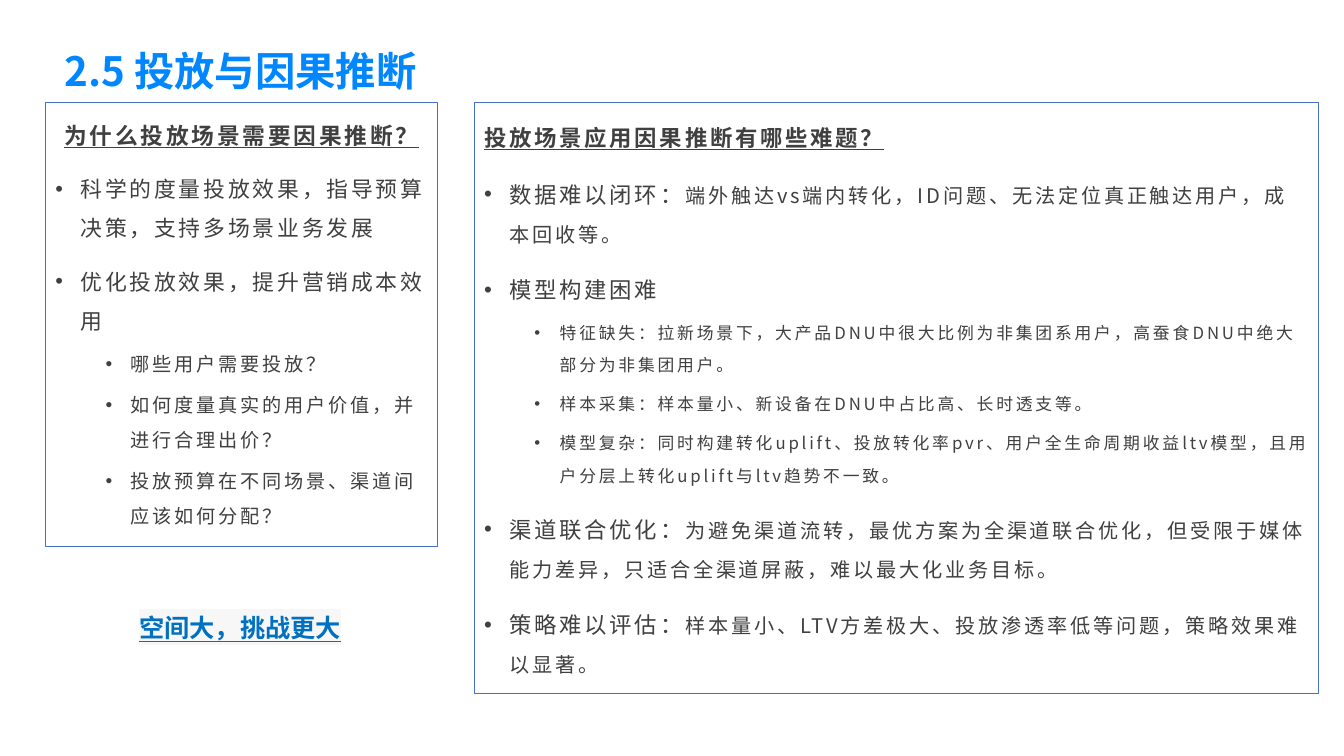
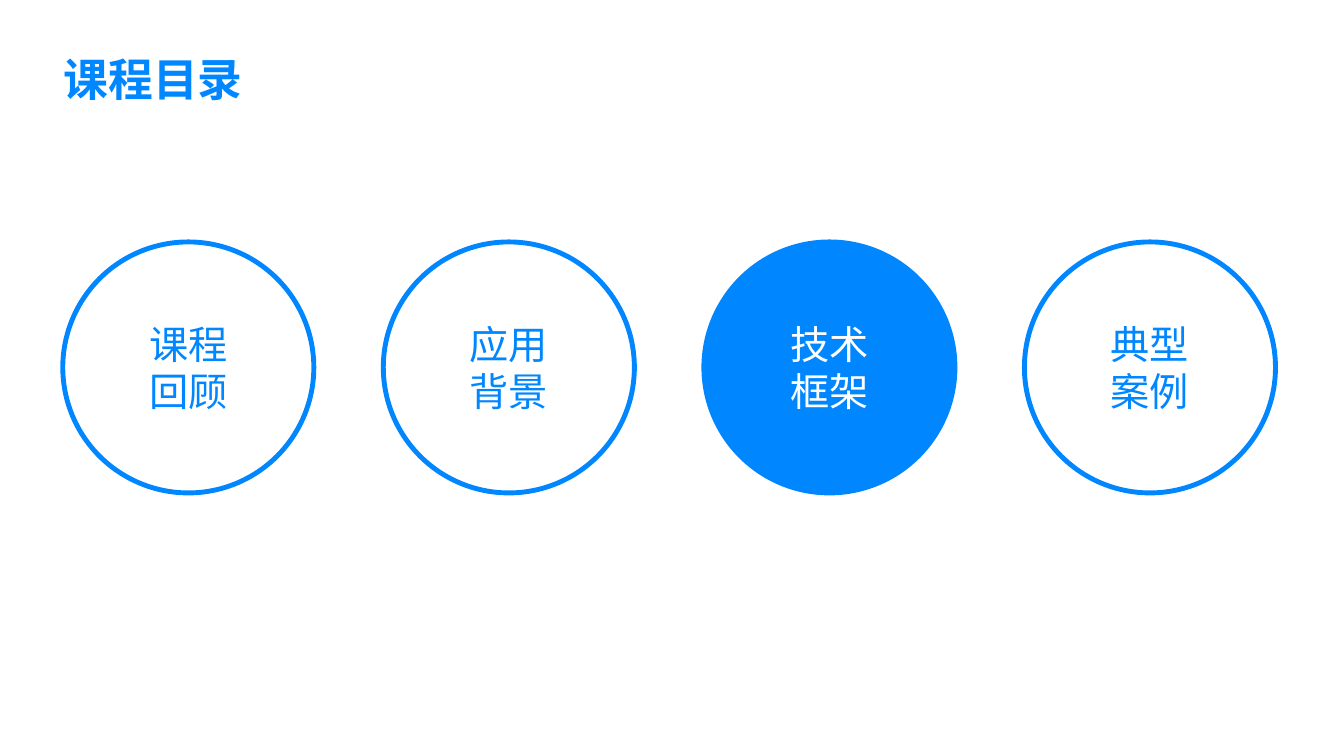
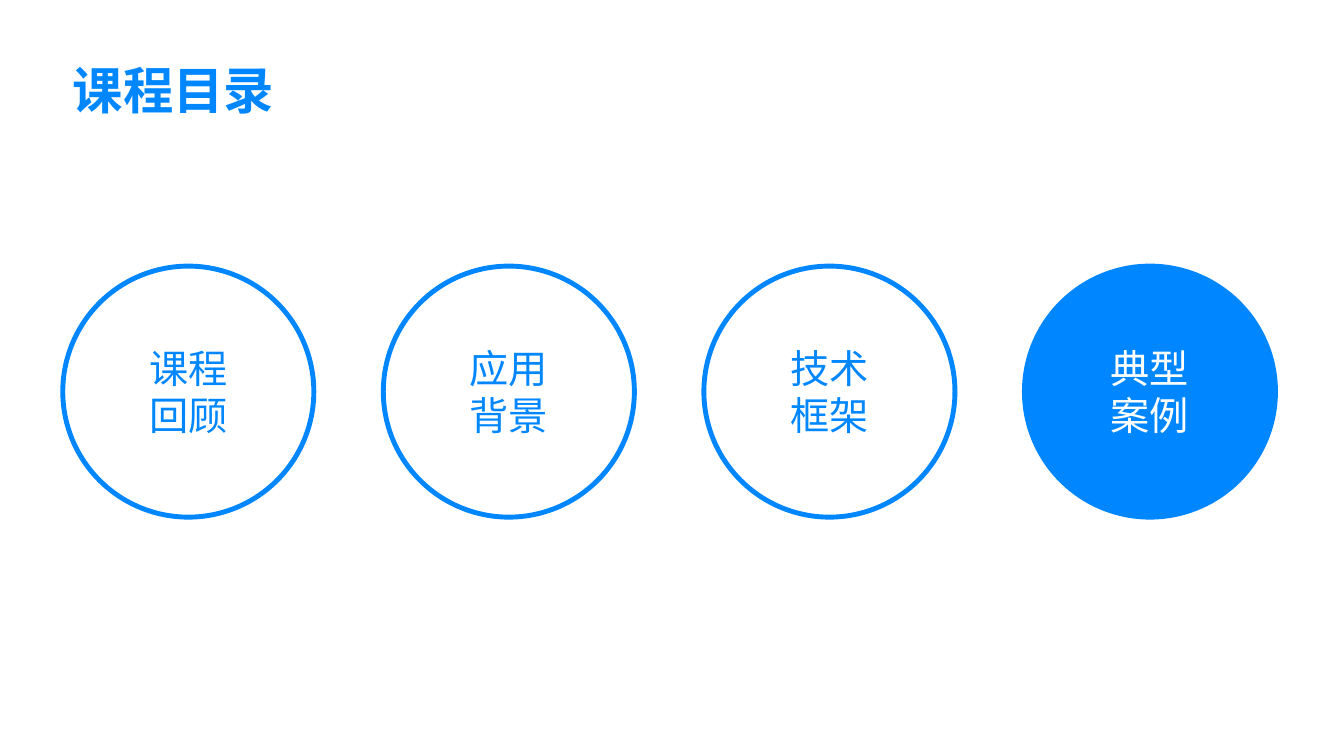
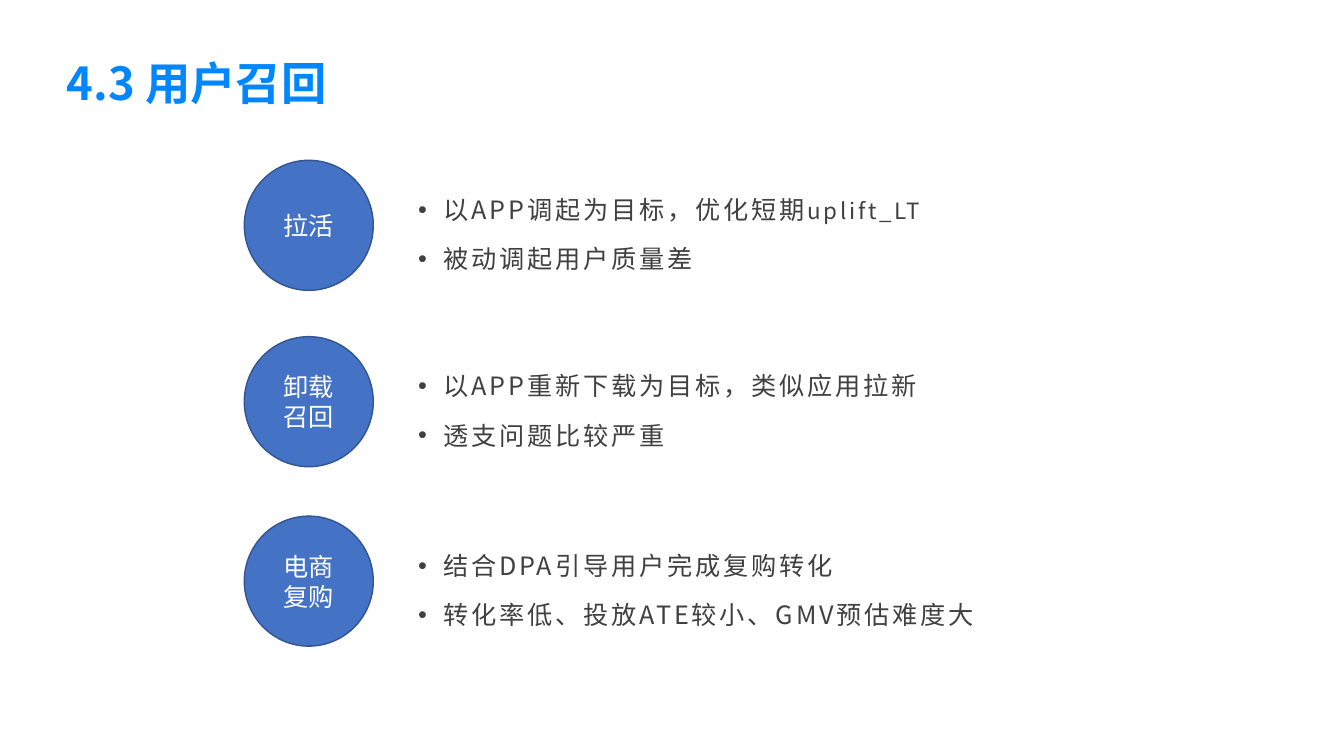
"""Build four slides on ad delivery and causal inference."""
from dataclasses import dataclass

from lxml.etree import SubElement as Sub
from pptx import Presentation
from pptx.dml.color import RGBColor as RGB
from pptx.enum.shapes import MSO_SHAPE as Kind
from pptx.enum.text import MSO_ANCHOR as Anchor, PP_ALIGN as Align
from pptx.oxml.ns import qn
from pptx.util import Inches, Pt


@dataclass(frozen=True)
class Theme:
    face: str = "Noto Sans CJK SC"
    blue: str = "0087FF"
    navy: str = "4472C4"
    edge: str = "325491"
    link: str = "0070C0"
    pale: str = "F7F7F7"
    ink: str = "404040"
    white: str = "FFFFFF"
    ring: float = 28
    body: float = 18
    head: float = 16
    text: float = 14.4
    small: float = 12
    space: float = 2


T = Theme()
deck = Presentation()
deck.slide_width, deck.slide_height = Inches(13.33), Inches(7.5)
COL, ROW = deck.slide_width / 100, deck.slide_height / 100


def place(slide, at, kind=None, fill=None, line=None, width=1):
    """Add a text box or a shape at percentages of the slide."""
    x, y, w, h = at
    spot = [int(v) for v in (x * COL, y * ROW, w * COL, h * ROW)]
    if kind is None:
        return slide.shapes.add_textbox(*spot)
    shape = slide.shapes.add_shape(kind, *spot)
    shape.shadow.inherit = False
    if fill:
        shape.fill.solid()
        shape.fill.fore_color.rgb = RGB.from_string(fill)
    else:
        shape.fill.background()
    shape.line.color.rgb = RGB.from_string(line)
    shape.line.width = Pt(width)
    return shape


def write(shape, paras, tint, space=0, mark=None, **frame):
    """Fill a shape with (form, indent, runs) paragraphs; indents get bullets."""
    tf = shape.text_frame
    look = {"word_wrap": True, **frame}
    for key, val in look.items():
        setattr(tf, key, val)
    for i, (form, dent, runs) in enumerate(paras):
        para = tf.add_paragraph() if i else tf.paragraphs[0]
        for key, val in form.items():
            if i or key != "space_before":
                setattr(para, key, val)
        if dent:
            para.level = int(dent > 0.5)
            props = para._p.get_or_add_pPr()
            props.set("marL", str(Inches(dent)))
            props.set("indent", str(Inches(-0.25)))
            Sub(props, qn("a:buFont"), typeface="Arial")
            Sub(props, qn("a:buChar"), char="•")
        for words, size, *bold in runs:
            run = para.add_run()
            run.text = words
            look = {"size": Pt(size), "name": T.face, "bold": "b" in bold, "underline": "u" in bold}
            for key, val in look.items():
                setattr(run.font, key, val)
            run.font.color.rgb = RGB.from_string(tint)
            props = run._r.get_or_add_rPr()
            if space:
                props.set("spc", str(int(space * 100)))
            if mark:
                glow = Sub(props, qn("a:highlight"))
                Sub(glow, qn("a:srgbClr"), val=mark)
                props.find(qn("a:solidFill")).addnext(glow)
            east = Sub(props, qn("a:ea"), typeface=T.face)
            props.find(qn("a:latin")).addnext(east)


MID = {"alignment": Align.CENTER}
titles = [
    ("2.5 投放与因果推断", 28.8, (4.05, 6.13, 47.64, 7.2)),
    ("课程目录", 32, (3.98, 6.4, 16.5, 8.93)),
    ("课程目录", 36, (4.67, 7.6, 18.68, 9.47)),
    ("4.3 用户召回", 32.4, (4.22, 7.47, 37.36, 7.73)),
]
slides = []
for name, size, at in titles:
    slide = deck.slides.add_slide(deck.slide_layouts[6])
    write(place(slide, at), [({"line_spacing": 0.9}, 0, [(name, size, "b")])], T.blue,
          vertical_anchor=Anchor.MIDDLE)
    slides.append(slide)

panels = [
    ((3.38, 13.6, 29.18, 58.67), 1.5, Align.CENTER, [
        (0, [("为什么投放场景需要因果推断？", 16.2, "b", "u")]),
        (0.25, [("科学的度量投放效果，指导预算决策，支持多场景业务发展", 15.6)]),
        (0.25, [("优化投放效果，提升营销成本效用", 15.6)]),
        (0.75, [("哪些用户需要投放？", 13.7)]),
        (0.75, [("如何度量真实的用户价值，并进行合理出价？", 13.7)]),
        (0.75, [("投放预算在不同场景、渠道间应该如何分配？", 13.7)]),
    ]),
    ((35.28, 13.6, 62.86, 78.13), 1.6, Align.LEFT, [
        (0, [("投放场景应用因果推断有哪些难题？", T.head, "b", "u")]),
        (0.25, [("数据难以闭环：", T.head),
                ("端外触达vs端内转化，ID问题、无法定位真正触达用户，成本回收等。", T.text)]),
        (0.25, [("模型构建困难", T.head)]),
        (0.75, [("特征缺失：拉新场景下，大产品DNU中很大比例为非集团系用户，"
                 "高蚕食DNU中绝大部分为非集团用户。", T.small)]),
        (0.75, [("样本采集：样本量小、新设备在DNU中占比高、长时透支等。", T.small)]),
        (0.75, [("模型复杂：同时构建转化uplift、投放转化率pvr、用户全生命周期收益ltv模型，"
                 "且用户分层上转化uplift与ltv趋势不一致。", T.small)]),
        (0.25, [("渠道联合优化：", T.head),
                ("为避免渠道流转，最优方案为全渠道联合优化，但受限于媒体能力差异，"
                 "只适合全渠道屏蔽，难以最大化业务目标。", T.text)]),
        (0.25, [("策略难以评估：", T.head),
                ("样本量小、LTV方差极大、投放渗透率低等问题，策略效果难以显著。", T.text)]),
    ]),
]
for at, pitch, side, rows in panels:
    paras = []
    for dent, runs in rows:
        form = {"alignment": Align.LEFT if dent else side, "line_spacing": pitch,
                "space_before": Pt(5 if dent > 0.5 else 10)}
        paras.append((form, dent, runs))
    write(place(slides[0], at, Kind.RECTANGLE, None, T.navy, 0.75), paras, T.ink, T.space,
          vertical_anchor=Anchor.TOP)
write(place(slides[0], (9.62, 80.4, 16.65, 5.33)), [({}, 0, [("空间大，挑战更大", T.body, "b", "u")])],
      T.link, mark=T.pale, word_wrap=False)

parts = [("课程", "回顾"), ("应用", "背景"), ("技术", "框架"), ("典型", "案例")]
for slide, top, now in ((slides[1], 32, 2), (slides[2], 35.2, 3)):
    for i, pair in enumerate(parts):
        fill, tint = (T.blue, T.white) if i == now else (T.white, T.blue)
        ring = place(slide, (4.67 + 23.85 * i, top, 18.68, 33.2), Kind.OVAL, fill, T.blue, 3.5)
        write(ring, [(MID, 0, [(word, T.ring)]) for word in pair], tint)

goals = [
    (21.2, "拉活", [[("以APP调起为目标，优化短期", T.body), ("uplift_LT", T.head)],
                  [("被动调起用户质量差", T.body)]]),
    (44.53, "卸载召回", [[("以APP重新下载为目标，类似应用拉新", T.body)],
                     [("透支问题比较严重", T.body)]]),
    (68.27, "电商复购", [[("结合DPA引导用户完成复购转化", T.body)],
                     [("转化率低、投放ATE较小、GMV预估难度大", T.body)]]),
]
note = {"line_spacing": 1.4, "space_before": Pt(5)}
for top, name, rows in goals:
    write(place(slides[3], (26.63, top + 2.27, 57.91, 14.93)),
          [(note, 0.75, runs) for runs in rows], T.ink, T.space)
    disc = place(slides[3], (18.18, top, 9.6, 17.2), Kind.OVAL, T.navy, T.edge)
    write(disc, [(MID, 0, [(name, T.body)])], T.white)

deck.save("out.pptx")
